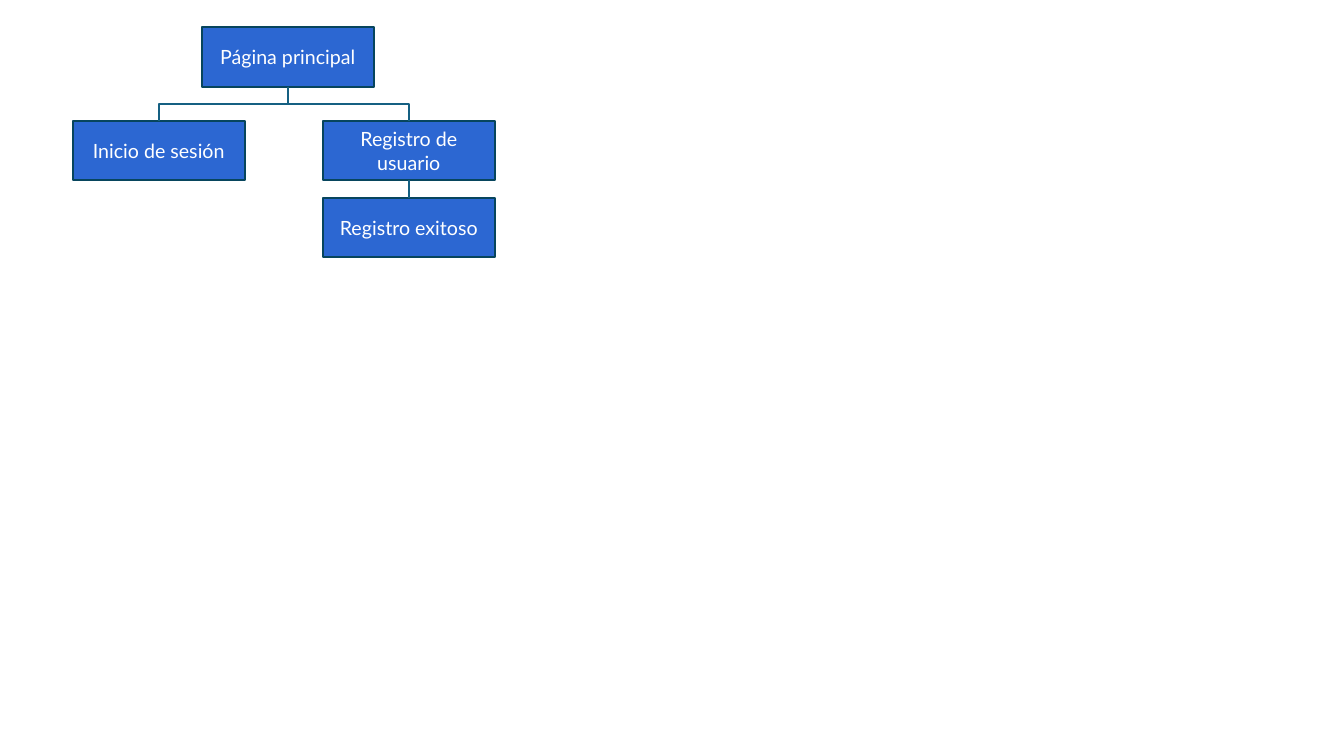
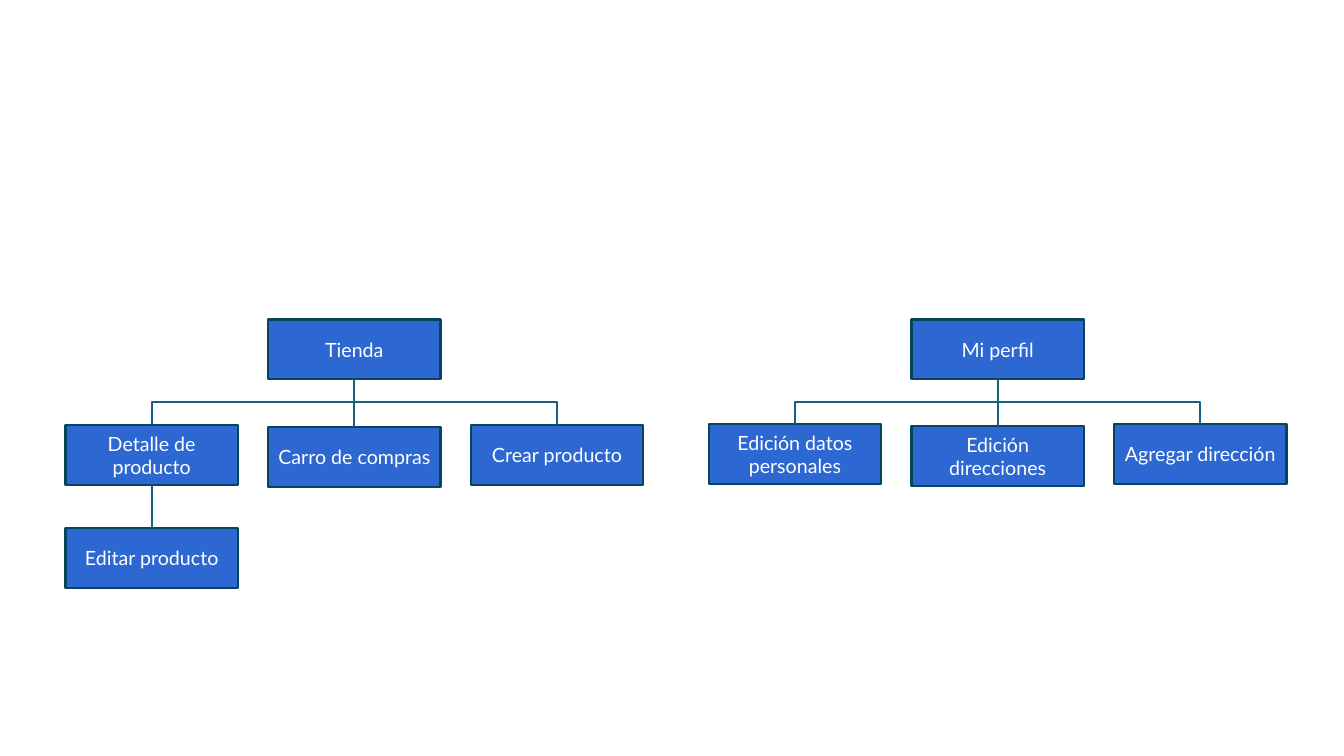
from pptx import Presentation
from pptx.dml.color import RGBColor
from pptx.enum import shapes, text
from pptx.oxml import parse_xml
from pptx.oxml.ns import nsdecls, qn
from pptx.util import Inches, Pt

FILL, EDGE, LINK, WHITE = "2C67D2", "07455D", "156082", "FFFFFF"
FONT = "Lato"
BOX_W, BOX_H = 1.71, 0.59
STEP = 2.01   # distance between sibling boxes
DROP = 0.02   # the middle sibling sits slightly lower


def color(code):
    return RGBColor.from_string(code)


def add_box(slide, label, x, y):
    box = slide.shapes.add_shape(
        shapes.MSO_SHAPE.RECTANGLE,
        Inches(x), Inches(y), Inches(BOX_W), Inches(BOX_H))
    box.shadow.inherit = False
    box.fill.solid()
    box.fill.fore_color.rgb = color(FILL)
    box.line.color.rgb = color(EDGE)
    box.line.width = Pt(1.5)
    frame = box.text_frame
    frame.word_wrap = True
    frame.vertical_anchor = text.MSO_ANCHOR.MIDDLE
    para = frame.paragraphs[0]
    para.alignment = text.PP_ALIGN.CENTER
    run = para.add_run()
    run.text = label
    run.font.name = FONT
    run.font.size = Pt(14)
    run.font.color.rgb = color(WHITE)
    return box


def turn(link, x1, y1, x2, y2):
    """Rotate an elbow so that it leaves downwards and arrives from above."""
    wide, high = abs(x2 - x1), y2 - y1
    link.left = (x1 + x2 - high) // 2
    link.top = (y1 + y2 - wide) // 2
    link.width, link.height = high, wide
    right = x2 > x1
    frame = link.element.spPr.find(qn("a:xfrm"))
    frame.set("rot", str((270 if right else 90) * 60000))
    frame.set("flipH", "1" if right else "0")


def join(slide, top, low):
    """Link the bottom of one box to the top of another."""
    x1, y1 = top.left + top.width // 2, top.top + top.height
    x2, y2 = low.left + low.width // 2, low.top
    bent = x1 != x2
    kind = shapes.MSO_CONNECTOR.ELBOW if bent else shapes.MSO_CONNECTOR.STRAIGHT
    link = slide.shapes.add_connector(kind, x1, y1, x2, y2)
    link.begin_connect(top, 2)
    link.end_connect(low, 0)
    if bent:
        turn(link, x1, y1, x2, y2)
    link.line.color.rgb = color(LINK)
    link.line.width = Pt(1.5)
    link.element.spPr.append(parse_xml(f"<a:effectLst {nsdecls('a')}/>"))


def add_child(slide, top, label, x, y):
    box = add_box(slide, label, x, y)
    join(slide, top, box)
    return box


def add_trio(slide, title, labels, x, y, low):
    """A root box centred over three children; x is the left child's edge."""
    root = add_box(slide, title, x + STEP, y)
    return [add_child(slide, root, label, x + i * STEP, low + DROP * (i == 1))
            for i, label in enumerate(labels)]


def main():
    deck = Presentation()
    deck.slide_width, deck.slide_height = Inches(13.33), Inches(7.5)
    blank = deck.slide_layouts[6]

    # Slide 1: home page and registration
    slide = deck.slides.add_slide(blank)
    home = add_box(slide, "Página principal", 2, 0.27)
    add_child(slide, home, "Inicio de sesión", 0.72, 1.2)
    user = add_child(slide, home, "Registro de usuario", 3.2, 1.2)
    add_child(slide, user, "Registro exitoso", 3.2, 1.96)

    # Slide 2: shop and profile
    slide = deck.slides.add_slide(blank)
    add_trio(slide, "Mi perfil",
             ["Edición datos personales", "Edición direcciones", "Agregar dirección"],
             7.03, 3.17, 4.21)
    shop = add_trio(slide, "Tienda",
                    ["Detalle de producto", "Carro de compras", "Crear producto"],
                    0.65, 3.17, 4.22)
    add_child(slide, shop[0], "Editar producto", 0.65, 5.24)

    deck.save("out.pptx")


if __name__ == "__main__":
    main()
